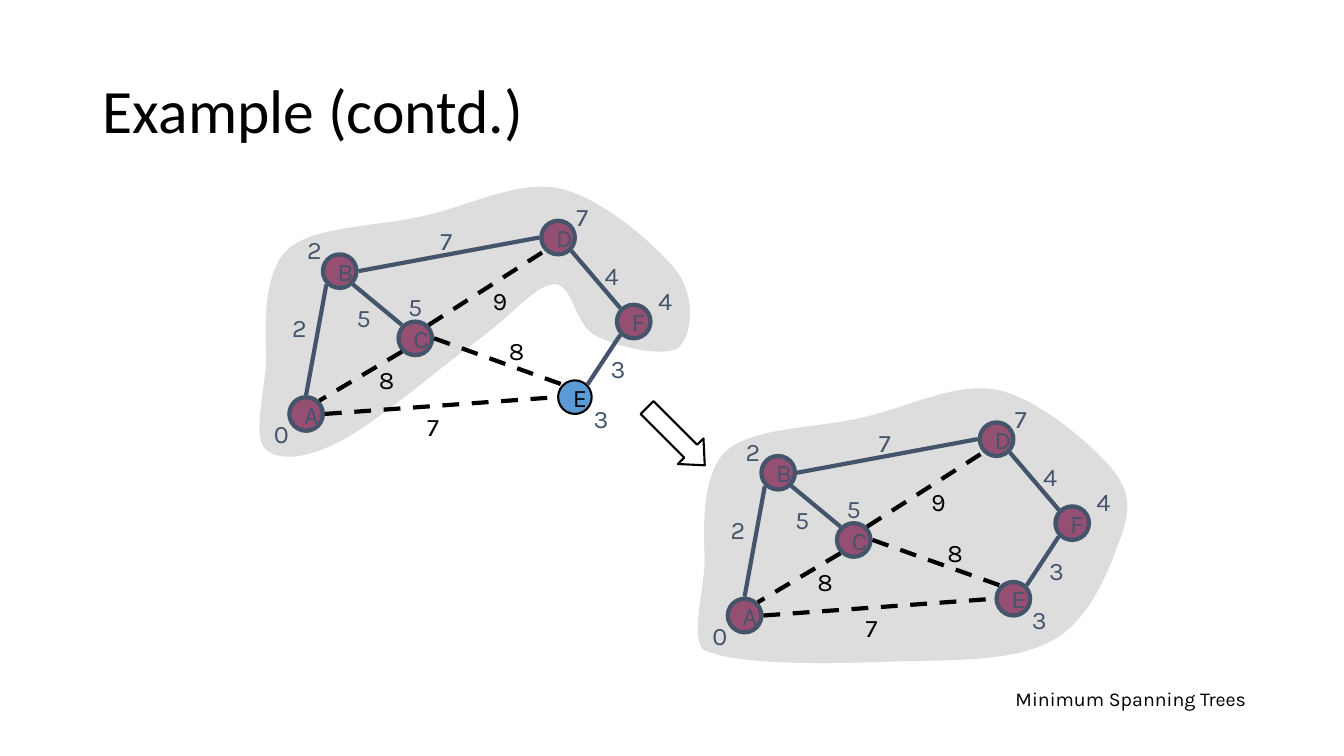
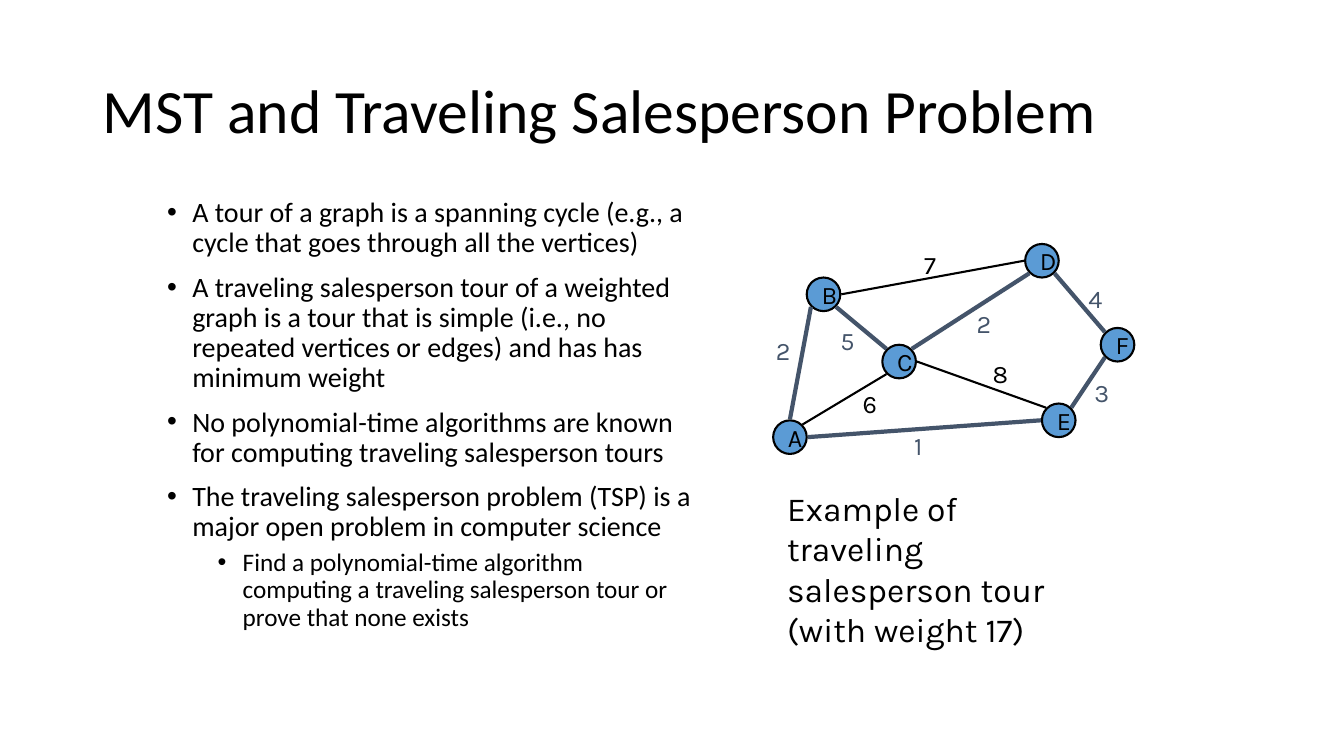
import math

import lxml.etree
import pptx
import pptx.dml.color
import pptx.enum.dml
import pptx.enum.shapes
import pptx.enum.text
import pptx.oxml.ns
import pptx.util

Inches = pptx.util.Inches
Pt = pptx.util.Pt
SHAPE = pptx.enum.shapes.MSO_SHAPE
ALIGN = pptx.enum.text.PP_ALIGN
ANCHOR = pptx.enum.text.MSO_ANCHOR
qn = pptx.oxml.ns.qn

HUES = {"ink": "000000", "slate": "44546A", "done": "954F72",
        "open": "5B9BD5", "cloud": "DDDDDD"}
HEAD = "Calibri"
BODY = "Karla"

UNIT = 1 / 12
SIZE = 4 * UNIT
BASE = (2.87, 3.94)
NODES = {"B": (4, -17), "D": (30, -21), "C": (13, -9),
         "A": (0, 0), "F": (39, -11), "E": (32, -2)}
KEYS = {"A": ("0", 2.62, 4.1), "E": ("3", 5.79, 3.95), "B": ("2", 2.95, 2.28),
        "C": ("5", 3.95, 2.84), "F": ("4", 6.43, 2.78), "D": ("7", 5.62, 1.95)}
EDGES = {"BC": (45, 225, 3.44, 2.95), "CA": (135, 315, 3.66, 3.57),
         "BA": (135, 270, 2.8, 3.05), "CE": (0, 225, 4.95, 3.28),
         "AE": (0, 180, 4.14, 4.03), "BD": (0, 180, 4.27, 2.19),
         "CD": (315, 135, 4.79, 2.78), "FD": (225, 45, 5.9, 2.53),
         "EF": (315, 135, 5.96, 3.46)}

TOP = [(6.52, 2.44), (5.97, 1.96), (5.55, 1.87),
       (5.13, 1.78), (4.62, 2.06), (4.17, 2.15),
       (3.73, 2.25), (3.12, 2.24), (2.86, 2.47),
       (2.61, 2.69), (2.63, 3.24), (2.64, 3.52),
       (2.65, 3.8), (2.5, 4.29), (2.62, 4.44)]
PART = [(2.74, 4.58), (3.02, 4.56), (3.37, 4.38),
        (3.73, 4.2), (4.4, 3.62), (4.76, 3.36),
        (5.11, 3.1), (5.31, 2.83), (5.5, 2.82),
        (5.69, 2.82), (5.7, 3.23), (5.91, 3.33),
        (6.11, 3.44), (6.59, 3.55), (6.73, 3.45),
        (6.86, 3.34), (6.91, 2.96), (6.72, 2.7)]
WHOLE = [(2.95, 4.62), (4.04, 4.58), (4.62, 4.56),
         (5.2, 4.55), (5.73, 4.55), (6.08, 4.36),
         (6.43, 4.18), (6.62, 3.73), (6.72, 3.46),
         (6.83, 3.18), (6.91, 2.97), (6.72, 2.7)]

MIN_TREE = {"BC", "BA", "BD", "FD", "EF"}
MIN_COST = dict(BC=5, CA=8, BA=2, CE=8, AE=7, BD=7, CD=9, FD=4, EF=3)
TOUR = {"BC", "BA", "AE", "CD", "FD", "EF"}
TOUR_COST = dict(BC=5, CA=6, BA=2, CE=8, AE=1, BD=7, CD=2, FD=4, EF=3)
TOUR_SPOT = {"AE": (4.17, 3.99)}

POINTS = [
    (0, "A tour of a graph is a spanning cycle (e.g., a cycle that goes "
        "through all the vertices)"),
    (0, "A traveling salesperson tour of a weighted graph is a tour that is "
        "simple (i.e., no repeated vertices or edges) and has has minimum weight"),
    (0, "No polynomial-time algorithms are known for computing traveling "
        "salesperson tours"),
    (0, "The traveling salesperson problem (TSP) is a major open problem in "
        "computer science"),
    (1, "Find a polynomial-time algorithm computing a traveling salesperson "
        "tour or prove that none exists"),
]


def tint(name):
    return pptx.dml.color.RGBColor.from_string(HUES[name])


def write(frame, text, size=18, font=BODY, hue="ink", wrap=False,
          anchor=ANCHOR.TOP, align=ALIGN.LEFT, space=None):
    frame.word_wrap = wrap
    frame.vertical_anchor = anchor
    for i, line in enumerate(text if isinstance(text, list) else [text]):
        para = frame.add_paragraph() if i else frame.paragraphs[0]
        para.text = line
        para.alignment = align
        if space:
            para.line_spacing = space
        for run in para.runs:
            run.font.size = Pt(size)
            run.font.name = font
            run.font.color.rgb = tint(hue)


def label(slide, text, left, top, width=0.34, height=0.4, **form):
    box = slide.shapes.add_textbox(*map(Inches, (left, top, width, height)))
    write(box.text_frame, text, **form)
    return box


def paint(shape, fill=None, line=None, width=1.5):
    shape.shadow.inherit = False
    if fill:
        shape.fill.solid()
        shape.fill.fore_color.rgb = tint(fill)
    else:
        shape.fill.background()
    if line:
        shape.line.color.rgb = tint(line)
        shape.line.width = Pt(width)
    else:
        shape.line.fill.background()


def start(deck, text):
    slide = deck.slides.add_slide(deck.slide_layouts[5])
    title = slide.shapes.title
    title.left, title.top = Inches(0.92), Inches(0.4)
    title.width, title.height = Inches(11.5), Inches(1.45)
    write(title.text_frame, text, size=44, font=HEAD, wrap=True,
          anchor=ANCHOR.MIDDLE, space=0.9)
    return slide


def cloud(slide, base, dx, dy):
    curve = TOP + base
    dots = [(Inches(x + dx), Inches(y + dy)) for x, y in [curve[-1]] + curve]
    pen = slide.shapes.build_freeform(*dots[0])
    pen.add_line_segments(dots[1:], close=True)
    shape = pen.convert_to_shape()
    paint(shape, "cloud")
    bend(shape)


def bend(shape):
    lines = list(shape._element.iter(qn("a:lnTo")))
    for i in range(0, len(lines) - 2, 3):
        arc = lxml.etree.Element(qn("a:cubicBezTo"))
        lines[i].addprevious(arc)
        for line in lines[i:i + 3]:
            arc.append(line[0])
            line.getparent().remove(line)


def node(slide, name, left, top, done):
    x, y = NODES[name]
    dot = slide.shapes.add_shape(SHAPE.OVAL, Inches(left + x * UNIT),
                                 Inches(top + y * UNIT), Inches(SIZE), Inches(SIZE))
    hue = "slate" if done else "ink"
    paint(dot, "done" if done else "open", hue, 3 if done else 1.5)
    write(dot.text_frame, name, hue=hue, anchor=ANCHOR.MIDDLE)


def rim(name, angle, left, top, done):
    x, y = NODES[name]
    turn = math.radians(angle)
    reach = SIZE / 2 + (0.02 if name in done else 0.01)
    return (Inches(left + x * UNIT + SIZE / 2 + reach * math.cos(turn)),
            Inches(top + y * UNIT + SIZE / 2 + reach * math.sin(turn)))


def edge(slide, pair, left, top, done, hue, width, dash):
    out, into = EDGES[pair][:2]
    line = slide.shapes.add_connector(pptx.enum.shapes.MSO_CONNECTOR.STRAIGHT,
                                      *rim(pair[0], out, left, top, done),
                                      *rim(pair[1], into, left, top, done))
    line.line.color.rgb = tint(hue)
    line.line.width = Pt(width)
    if dash:
        line.line.dash_style = pptx.enum.dml.MSO_LINE.DASH
    lxml.etree.SubElement(line._element.spPr, qn("a:effectLst"))


def graph(slide, left, top, tree, cost, done="", spots=(), keys=False, dash=False):
    dx, dy = left - BASE[0], top - BASE[1]
    for name in NODES:
        node(slide, name, left, top, name in done)
    for pair in EDGES:
        used = pair in tree
        edge(slide, pair, left, top, done, "slate" if used else "ink",
             3 if used or dash else 1.5, dash and not used)
    moved = dict(spots)
    for pair, (_, _, *spot) in EDGES.items():
        x, y = moved.get(pair, spot)
        label(slide, str(cost[pair]), x + dx, y + dy,
              hue="slate" if pair in tree else "ink")
    if keys:
        for text, x, y in KEYS.values():
            label(slide, text, x + dx, y + dy, hue="slate")


def bullets(slide, items):
    box = label(slide, [text for _, text in items], 1.56, 1.92, 5.44, 4.5,
                size=20, font=HEAD, wrap=True, space=0.9)
    for i, (level, _) in enumerate(items):
        para = box.text_frame.paragraphs[i]
        prop = para._p.get_or_add_pPr()
        prop.set("marL", str(Inches(0.25 + 0.5 * level)))
        prop.set("indent", str(Inches(-0.25)))
        for tag, key, value in (("a:buFont", "typeface", "Arial"),
                                ("a:buChar", "char", "•")):
            lxml.etree.SubElement(prop, qn(tag)).set(key, value)
        para.level = level
        if i:
            para.space_before = Pt(5 if level else 10)
        if level:
            para.runs[0].font.size = Pt(18)


def arrow(slide):
    shape = slide.shapes.add_shape(SHAPE.RIGHT_ARROW, Inches(6.3), Inches(4.15),
                                   Inches(0.81), Inches(0.36))
    shape.adjustments[0] = 0.5
    shape.adjustments[1] = 0.55
    shape.rotation = 45
    paint(shape, line="ink")


def growth(deck):
    slide = start(deck, "Example (contd.)")
    label(slide, "Minimum Spanning Trees", 9.11, 6.68, 4.22, 0.5, size=14,
          wrap=True, anchor=ANCHOR.MIDDLE, align=ALIGN.CENTER)
    for base, left, top, done in ((PART, *BASE, "ABCDF"),
                                  (WHOLE, 7.22, 5.94, "ABCDEF")):
        cloud(slide, base, left - BASE[0], top - BASE[1])
        graph(slide, left, top, MIN_TREE, MIN_COST, done, keys=True, dash=True)
    arrow(slide)


def tour(deck):
    slide = start(deck, "MST and Traveling Salesperson Problem")
    bullets(slide, POINTS)
    graph(slide, 7.67, 4.17, TOUR, TOUR_COST, spots=TOUR_SPOT)
    label(slide, ["Example of traveling\vsalesperson tour", "(with weight 17)"],
          7.71, 4.79, 3.23, 1.31, size=24, wrap=True)


def main():
    deck = pptx.Presentation()
    deck.slide_width, deck.slide_height = Inches(40 / 3), Inches(7.5)
    growth(deck)
    tour(deck)
    deck.save("out.pptx")


if __name__ == "__main__":
    main()
